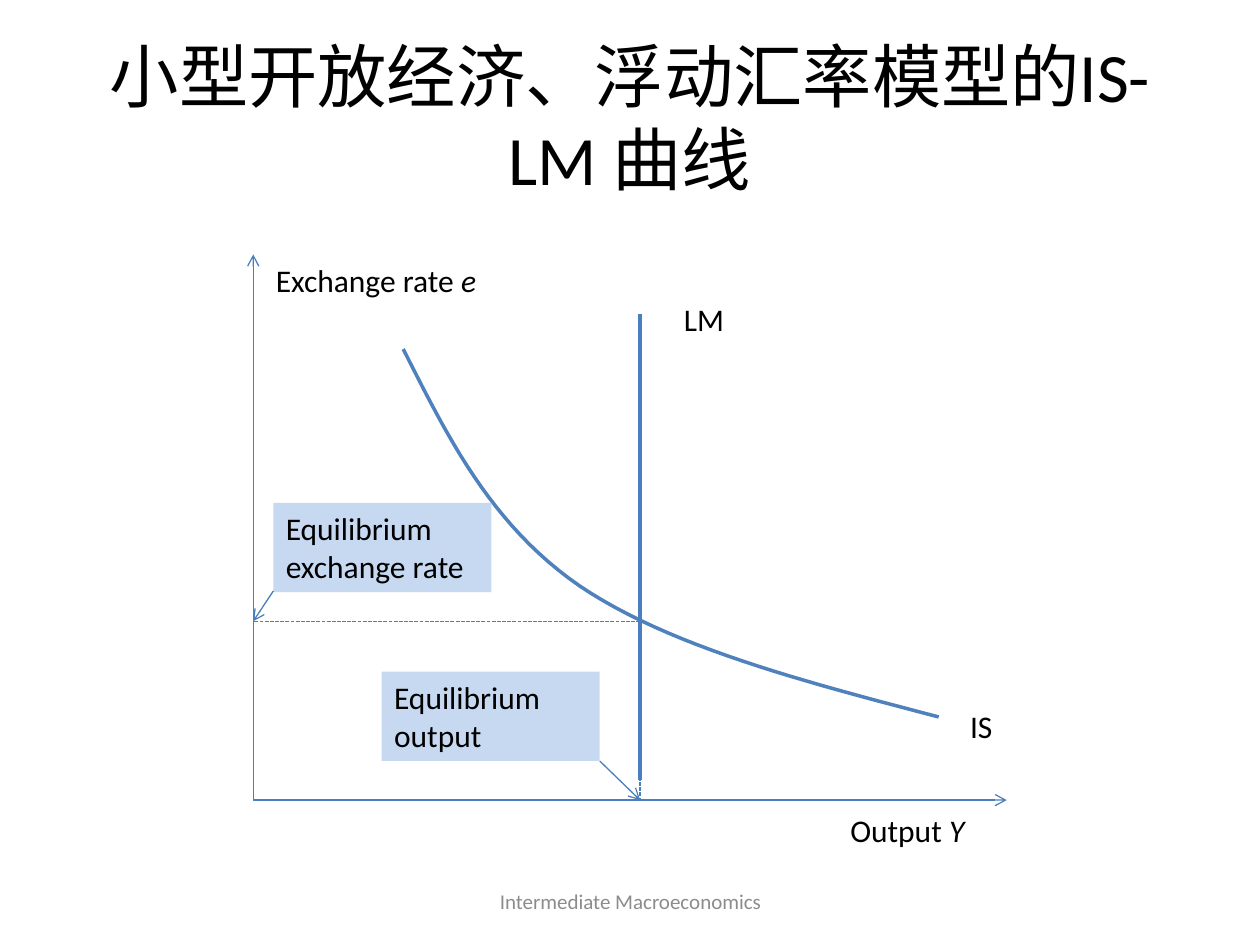
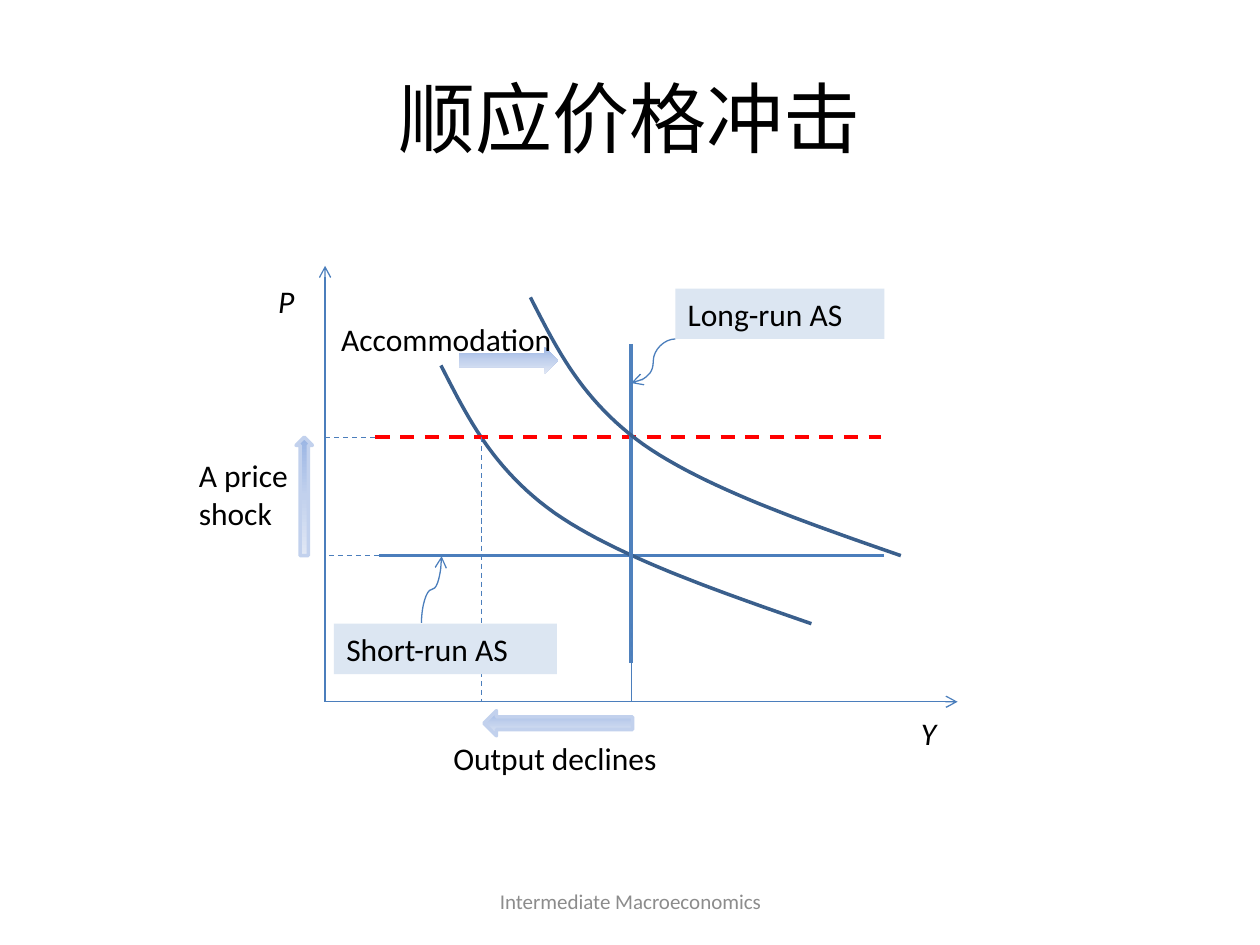
"""Build two macroeconomics slides: the IS-LM diagram and accommodating a price shock."""
from copy import deepcopy
from typing import NamedTuple, Optional

from lxml import etree
from pptx import Presentation
from pptx.dml.color import RGBColor
from pptx.enum.dml import MSO_LINE
from pptx.enum.shapes import MSO_CONNECTOR, MSO_SHAPE
from pptx.enum.text import MSO_ANCHOR, PP_ALIGN
from pptx.oxml.ns import qn
from pptx.util import Inches, Pt

STRAIGHT, CURVED = MSO_CONNECTOR.STRAIGHT, MSO_CONNECTOR.CURVE
RECTANGLE = MSO_SHAPE.RECTANGLE
UP, LEFT, RIGHT = MSO_SHAPE.UP_ARROW, MSO_SHAPE.LEFT_ARROW, MSO_SHAPE.RIGHT_ARROW
DASH, SHORT_DASH = MSO_LINE.DASH, MSO_LINE.SQUARE_DOT
TOP, MIDDLE = MSO_ANCHOR.TOP, MSO_ANCHOR.MIDDLE
ALIGN_LEFT, ALIGN_CENTER = PP_ALIGN.LEFT, PP_ALIGN.CENTER

COLORS = {
    "text": "000000", "footer": "8C8C8C", "axis": "4B7EBC", "curve": "4F81BD",
    "demand": "3A5F8C", "shock": "FF0000", "equilibrium": "C6D9F1", "supply": "DCE6F2",
    "arrow_dark": "9AB5E4", "arrow_mid": "C2D1ED", "arrow_light": "E1E8F5",
}
FONT = "Calibri"
THIN, THICK = 0.75, 2
CURVE_STEPS = 24
Point = tuple[float, float]


class Label(NamedTuple):
    text: str
    x: float
    y: float
    width: float
    height: float = 0.4
    variable: str = ""
    fill: Optional[str] = None
    size: float = 18
    color: str = "text"
    align: PP_ALIGN = ALIGN_LEFT
    anchor: MSO_ANCHOR = TOP


class Line(NamedTuple):
    start: Point
    end: Point
    color: str = "axis"
    weight: float = THIN
    dash: Optional[MSO_LINE] = None
    arrow: bool = False
    kind: MSO_CONNECTOR = STRAIGHT
    rotation: int = 0


class Curve(NamedTuple):
    points: list[Point]
    color: str


class BlockArrow(NamedTuple):
    direction: MSO_SHAPE
    x: float
    y: float
    width: float
    height: float
    outlined: bool = True


def rgb(color: str) -> RGBColor:
    """Look up a named colour."""
    return RGBColor.from_string(COLORS[color])


def draw_label(slide, label: Label) -> None:
    """Draw text, on a filled rectangle if the label has a fill."""
    box = tuple(map(Inches, (label.x, label.y, label.width, label.height)))
    if label.fill:
        holder = slide.shapes.add_shape(RECTANGLE, *box)
        holder.shadow.inherit = False
        holder.fill.solid()
        holder.fill.fore_color.rgb = rgb(label.fill)
        holder.line.fill.background()
    else:
        holder = slide.shapes.add_textbox(*box)
    frame = holder.text_frame
    frame.word_wrap = True
    frame.vertical_anchor = label.anchor
    paragraph = frame.paragraphs[0]
    paragraph.text = label.text
    paragraph.alignment = label.align
    if label.variable:
        symbol = paragraph.add_run()
        symbol.text = label.variable
        symbol.font.italic = True
    for run in paragraph.runs:
        run.font.name = FONT
        run.font.size = Pt(label.size)
        run.font.color.rgb = rgb(label.color)


def draw_line(slide, line: Line) -> None:
    """Draw a connector with its dash, arrowhead and rotation."""
    connector = slide.shapes.add_connector(line.kind, *map(Inches, line.start + line.end))
    connector.line.color.rgb = rgb(line.color)
    connector.line.width = Pt(line.weight)
    if line.dash:
        connector.line.dash_style = line.dash
    properties = connector._element.spPr
    if line.arrow:
        etree.SubElement(properties.find(qn("a:ln")), qn("a:tailEnd"), type="arrow")
    if line.rotation:
        properties.find(qn("a:xfrm")).set("rot", str(line.rotation * 60000))
    etree.SubElement(properties, qn("a:effectLst"))


def bezier(points: list[Point], t: float) -> Point:
    """Return the point at t on a cubic Bézier segment."""
    weights = ((1 - t) ** 3, 3 * t * (1 - t) ** 2, 3 * t ** 2 * (1 - t), t ** 3)
    x, y = (sum(w * p[axis] for w, p in zip(weights, points)) for axis in (0, 1))
    return Inches(x), Inches(y)


def draw_curve(slide, curve: Curve) -> None:
    """Draw chained cubic segments as one open outline."""
    vertices = [
        bezier(curve.points[first:first + 4], step / CURVE_STEPS)
        for first in range(0, len(curve.points) - 1, 3)
        for step in range(1, CURVE_STEPS + 1)
    ]
    builder = slide.shapes.build_freeform(*map(Inches, curve.points[0]))
    builder.add_line_segments(vertices, close=False)
    outline = builder.convert_to_shape()
    outline.shadow.inherit = False
    outline.fill.background()
    outline.line.color.rgb = rgb(curve.color)
    outline.line.width = Pt(THICK)


def draw_block_arrow(slide, arrow: BlockArrow) -> None:
    """Draw a block arrow with a three-stop vertical gradient."""
    box = map(Inches, (arrow.x, arrow.y, arrow.width, arrow.height))
    shape = slide.shapes.add_shape(arrow.direction, *box)
    shape.shadow.inherit = False
    shape.fill.gradient()
    shape.fill.gradient_angle = 270
    stop_list = shape._element.spPr.find(qn("a:gradFill")).find(qn("a:gsLst"))
    stop_list.append(deepcopy(stop_list[0]))
    shades = ("arrow_dark", "arrow_mid", "arrow_light")
    for index, (stop, shade) in enumerate(zip(shape.fill.gradient_stops, shades)):
        stop.position = index / 2
        stop.color.rgb = rgb(shade)
    if arrow.outlined:
        shape.line.color.rgb = rgb("arrow_mid")
        shape.line.width = Pt(THICK)
        etree.SubElement(shape._element.spPr.find(qn("a:ln")), qn("a:round"))
    else:
        shape.line.fill.background()


DRAWERS = {Label: draw_label, Line: draw_line, Curve: draw_curve, BlockArrow: draw_block_arrow}


def axes(origin: Point, right: float, top: float) -> list[Line]:
    """Return the two arrowed axes from an origin."""
    return [Line(origin, (right, origin[1]), arrow=True),
            Line(origin, (origin[0], top), arrow=True)]


def shifted(points: list[Point], dx: float, dy: float) -> list[Point]:
    """Move every point by the same offset."""
    return [(x + dx, y + dy) for x, y in points]


def add_slide(deck, title: str, title_size: float, content: list) -> None:
    """Add a slide with the shared title and footer, then its content."""
    slide = deck.slides.add_slide(deck.slide_layouts[6])
    heading = Label(title, 0.5, 0.3, 9, 1.25, size=title_size,
                    align=ALIGN_CENTER, anchor=MIDDLE)
    footer = Label("Intermediate Macroeconomics", 3.42, 6.95, 3.17, size=12,
                   color="footer", align=ALIGN_CENTER, anchor=MIDDLE)
    for item in [heading, footer, *content]:
        DRAWERS[type(item)](slide, item)


def is_lm_content() -> list:
    """Describe the IS-LM diagram."""
    origin_x, origin_y = origin = (2.01, 6.35)
    output, rate = equilibrium = (5.08, 4.93)
    is_points = [(3.2, 2.77), (3.55, 3.46), (3.89, 4.16), (4.6, 4.65),
                 (5.31, 5.13), (6.38, 5.41), (7.45, 5.69)]
    return [
        *axes(origin, 7.99, 2.02),
        Curve(is_points, "curve"),
        Line((output, 2.49), (output, 6.19), weight=THICK),
        Label("IS", 7.6, 5.56, 0.39),
        Label("LM", 5.33, 2.33, 0.77),
        Label("Exchange rate ", 2.09, 2.02, 1.89, variable="e"),
        Label("Output ", 6.65, 6.39, 1.18, variable="Y"),
        Line(equilibrium, (origin_x, rate), dash=SHORT_DASH),
        Line((output, 5.88), (output, origin_y), dash=SHORT_DASH),
        Label("Equilibrium exchange rate", 2.17, 3.99, 1.73, 0.71, fill="equilibrium"),
        Line((2.17, 4.69), (origin_x, rate), arrow=True),
        Label("Equilibrium output", 3.03, 5.33, 1.73, 0.71, fill="equilibrium"),
        Line((4.76, 6.04), (output, origin_y), arrow=True),
    ]


def price_shock_content() -> list:
    """Describe the price shock diagram."""
    origin_x, origin_y = origin = (2.58, 5.57)
    old_price, new_price = 4.41, 3.47
    full_output, low_output = 5.01, 3.82
    demand = [(3.5, 2.9), (3.71, 3.31), (3.91, 3.72), (4.4, 4.07),
              (4.89, 4.41), (5.66, 4.68), (6.44, 4.95)]
    return [
        *axes(origin, 7.6, 2.11),
        Label("", 2.11, 2.19, 0.47, variable="P"),
        Label("", 7.21, 5.62, 0.47, variable="Y"),
        Line((3.01, old_price), (7.02, old_price), weight=THICK),
        Line((2.61, old_price), (3.01, old_price), dash=DASH),
        Curve(demand, "demand"),
        Line((2.98, new_price), (6.99, new_price), "shock", THICK, DASH),
        Line((origin_x, new_price), (2.98, new_price), dash=DASH),
        BlockArrow(UP, 2.35, new_price, 0.13, old_price - new_price),
        Line((low_output, new_price), (low_output, origin_y), dash=DASH),
        Line((full_output, old_price), (full_output, origin_y), dash=DASH),
        BlockArrow(LEFT, 3.84, 5.64, 1.18, 0.2),
        Label("A price shock", 1.48, 3.57, 1.1, 0.71),
        Label("Output declines", 3.5, 5.82, 2.06),
        Line((full_output, 2.73), (full_output, 5.26), "curve", THICK),
        Line((full_output, 4.95), (full_output, origin_y), dash=DASH),
        Label("Long-run AS", 5.36, 2.29, 1.66, fill="supply"),
        Line((5.36, 2.69), (full_output, 3.04), arrow=True, kind=CURVED),
        Label("Short-run AS", 2.65, 4.95, 1.77, fill="supply"),
        Line((3.69, 4.76), (3.16, 4.6), arrow=True, kind=CURVED, rotation=90),
        Curve(shifted(demand, 0.71, -0.54), "demand"),
        BlockArrow(RIGHT, 3.64, 2.75, 0.79, 0.22, outlined=False),
        Label("Accommodation", 2.61, 2.49, 2.06),
    ]


def main() -> None:
    """Build and save the deck."""
    deck = Presentation()
    deck.slide_width, deck.slide_height = Inches(10), Inches(7.5)
    add_slide(deck, "小型开放经济、浮动汇率模型的IS-LM 曲线", 39.6, is_lm_content())
    add_slide(deck, "顺应价格冲击", 44, price_shock_content())
    deck.save("out.pptx")


if __name__ == "__main__":
    main()
